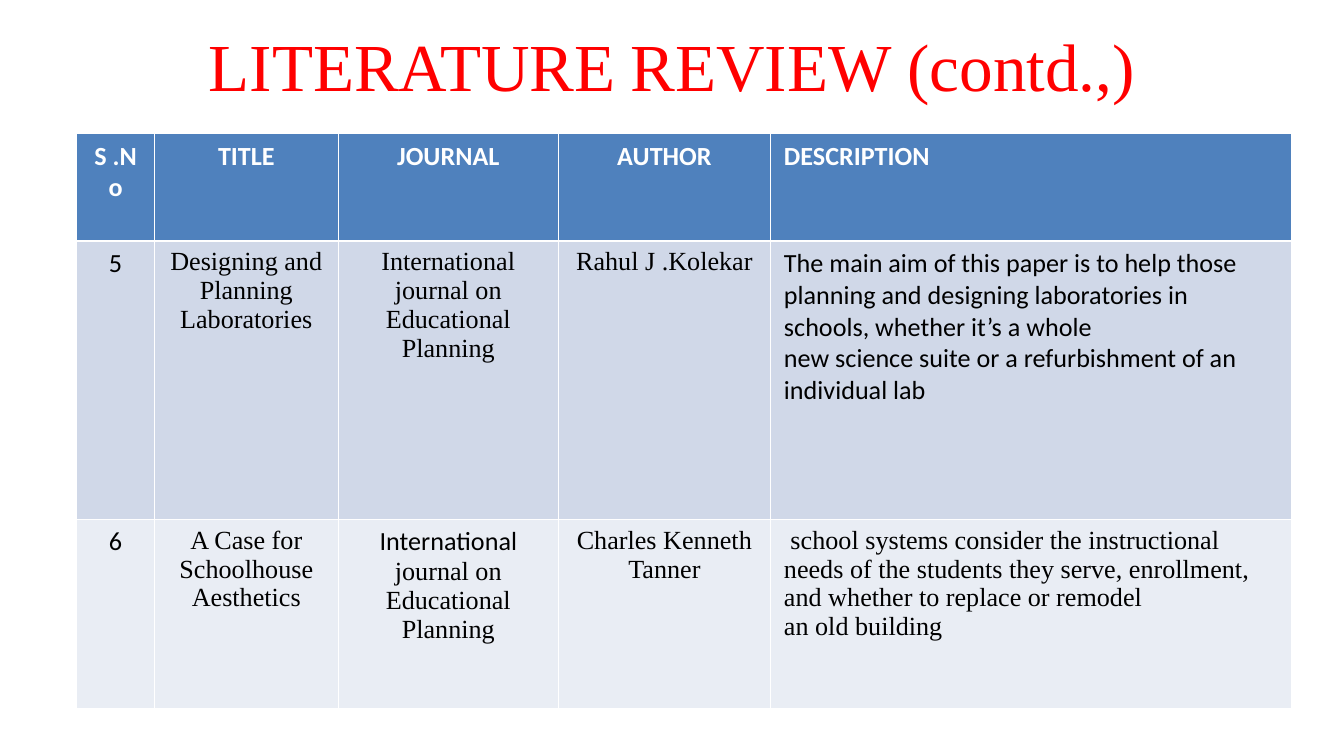
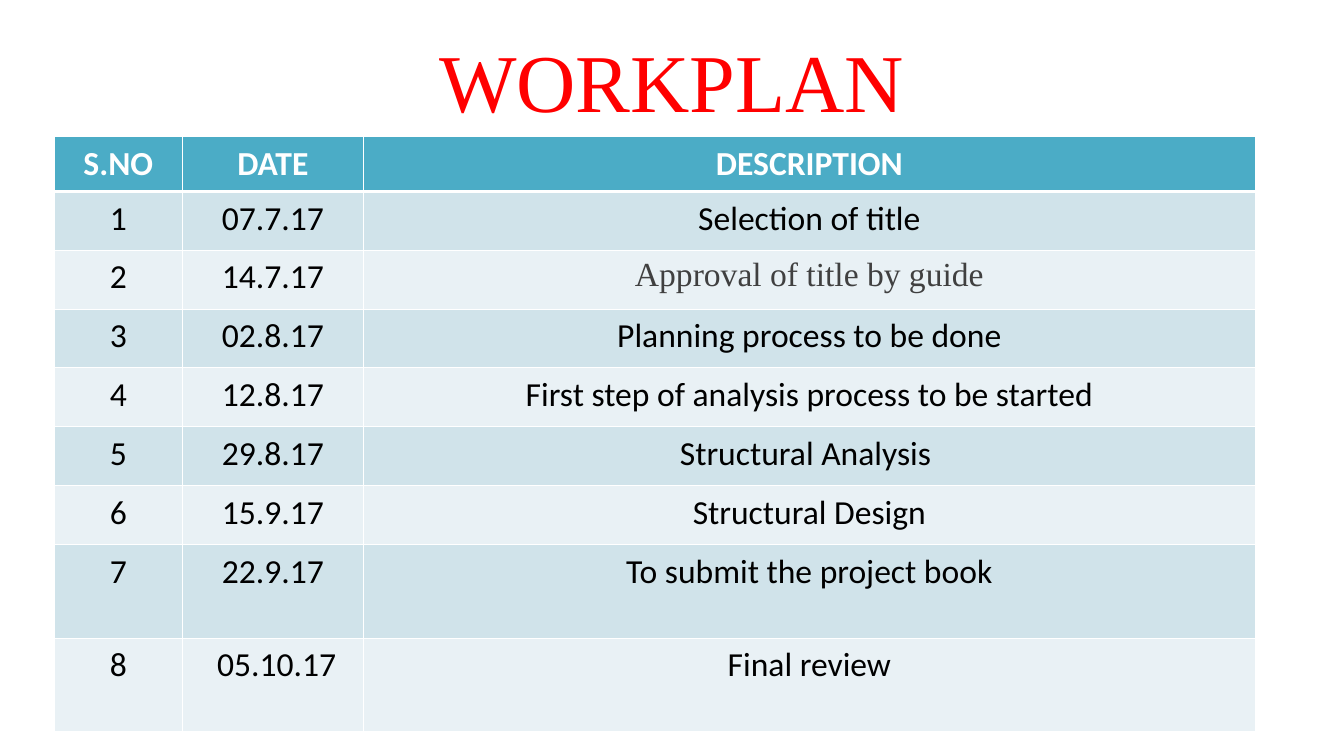
from dataclasses import dataclass
from lxml.etree import SubElement
from pptx import Presentation
from pptx.dml.color import RGBColor
from pptx.enum.text import MSO_ANCHOR, MSO_AUTO_SIZE, PP_ALIGN
from pptx.oxml.ns import qn
from pptx.util import Inches, Pt


@dataclass(frozen=True)
class Theme:
    sans: str = "Calibri"
    serif: str = "Times New Roman"
    title: str = "FF0000"
    text: str = "000000"
    muted: str = "404040"
    white: str = "FFFFFF"
    thin_line: float = 0.45
    thick_line: float = 1.47


@dataclass(frozen=True)
class Line:
    text: str
    font: str = Theme.sans
    color: str = Theme.text


def serif(text, color=Theme.text):
    return Line(text, Theme.serif, color)


THEME = Theme()
SLIDE_WIDTH = Inches(10)
SLIDE_HEIGHT = SLIDE_WIDTH * 9 // 16
TITLE_ONLY_LAYOUT = 5

LITERATURE_REVIEW = {
    "title": [("LITERATURE", 36), (" ", 32), ("REVIEW (contd.,)", 36)],
    "title_box": (5, -3.75, 90, 24.5),
    "table_box": (5.7, 17.65, 90.4, 76.1),
    "columns": (0.58, 1.37, 1.64, 1.58, 3.88),
    "rows": (0.8, 2.07, 1.41),
    "fills": ("4F81BD", "D0D8E8", "E9EDF4"),
    "size": 14,
    "left_columns": {4},
    "cells": [
        ["S .No", "TITLE", "JOURNAL", "AUTHOR", "DESCRIPTION"],
        [
            "5",
            [serif("Designing and Planning"), serif("Laboratories")],
            [serif("International"), serif("journal on Educational Planning")],
            [serif("Rahul J .Kolekar")],
            [
                Line("The main aim of this paper is to help those planning and "
                     "designing laboratories in schools, whether it’s a whole"),
                Line("new science suite or a refurbishment of an individual lab"),
            ],
        ],
        [
            "6",
            [serif("A Case for Schoolhouse Aesthetics")],
            [Line("International"), serif("journal on Educational Planning")],
            [serif("Charles Kenneth Tanner")],
            [
                serif(" school systems consider the instructional needs of the "
                      "students they serve, enrollment, and whether to replace or remodel"),
                serif("an old building"),
            ],
        ],
    ],
}

WORKPLAN = {
    "title": [("WORKPLAN", 44)],
    "title_box": (5, 4.1, 90, 12.8),
    "table_box": (4.05, 18.1, 89.35, 78.6),
    "columns": (0.95, 1.35, 6.63),
    "rows": (0.4, *[0.44] * 6, 0.7, 0.7),
    "fills": ("4BACC6", "D0E3EA", "E9F1F5"),
    "size": 18,
    "left_columns": set(),
    "cells": [
        ["S.NO", "DATE", "DESCRIPTION"],
        ["1", "07.7.17", "Selection of title"],
        ["2", "14.7.17", [serif("Approval of title by guide", THEME.muted)]],
        ["3", "02.8.17", "Planning process to be done"],
        ["4", "12.8.17", "First step of analysis process to be started"],
        ["5", "29.8.17", "Structural Analysis "],
        ["6", "15.9.17", "Structural Design"],
        ["7", "22.9.17", "To submit the project book"],
        ["8", " 05.10.17", "Final review"],
    ],
}


def frame(box):
    extents = (SLIDE_WIDTH, SLIDE_HEIGHT) * 2
    return [round(extent * percent / 100) for extent, percent in zip(extents, box)]


def add_run(paragraph, text, font, size, color, bold=False):
    run = paragraph.add_run()
    run.text = text
    run.font.name = font
    run.font.size = Pt(size)
    run.font.bold = bold
    run.font.color.rgb = RGBColor.from_string(color)


def fill_title(shape, content):
    shape.left, shape.top, shape.width, shape.height = frame(content["title_box"])
    text_frame = shape.text_frame
    text_frame.auto_size = MSO_AUTO_SIZE.NONE
    text_frame.vertical_anchor = MSO_ANCHOR.MIDDLE
    paragraph = text_frame.paragraphs[0]
    paragraph.alignment = PP_ALIGN.CENTER
    for text, size in content["title"]:
        add_run(paragraph, text, THEME.serif, size, THEME.title)


def set_borders(cell, row_index):
    thick_side = {0: "B", 1: "T"}.get(row_index)
    properties = cell._tc.get_or_add_tcPr()
    for side in "LRTB":
        width = THEME.thick_line if side == thick_side else THEME.thin_line
        border = SubElement(properties, qn(f"a:ln{side}"), w=str(Pt(width)))
        solid_fill = SubElement(border, qn("a:solidFill"))
        SubElement(solid_fill, qn("a:srgbClr"), val=THEME.white)


def fill_cell(cell, lines, row_index, column_index, content):
    is_header = row_index == 0
    set_borders(cell, row_index)
    header_fill, *band_fills = content["fills"]
    fill = header_fill if is_header else band_fills[(row_index - 1) % 2]
    cell.fill.solid()
    cell.fill.fore_color.rgb = RGBColor.from_string(fill)
    if isinstance(lines, str):
        lines = [Line(lines, color=THEME.white if is_header else THEME.text)]
    text_frame = cell.text_frame
    for index, line in enumerate(lines):
        paragraph = text_frame.add_paragraph() if index else text_frame.paragraphs[0]
        is_left = column_index in content["left_columns"]
        paragraph.alignment = PP_ALIGN.LEFT if is_left else PP_ALIGN.CENTER
        add_run(paragraph, line.text, line.font, content["size"], line.color, is_header)


def add_content_table(slide, content):
    left, top, width, height = frame(content["table_box"])
    columns, rows = content["columns"], content["rows"]
    table = slide.shapes.add_table(
        len(rows), len(columns), left, top, width, height
    ).table
    for column, share in zip(table.columns, columns):
        column.width = round(width * share / sum(columns))
    for row, share in zip(table.rows, rows):
        row.height = round(height * share / sum(rows))
    for row_index, row in enumerate(content["cells"]):
        for column_index, lines in enumerate(row):
            cell = table.cell(row_index, column_index)
            fill_cell(cell, lines, row_index, column_index, content)


def main():
    presentation = Presentation()
    presentation.slide_width = SLIDE_WIDTH
    presentation.slide_height = SLIDE_HEIGHT
    for content in (LITERATURE_REVIEW, WORKPLAN):
        slide = presentation.slides.add_slide(
            presentation.slide_layouts[TITLE_ONLY_LAYOUT]
        )
        fill_title(slide.shapes.title, content)
        add_content_table(slide, content)
    presentation.save("out.pptx")


if __name__ == "__main__":
    main()
